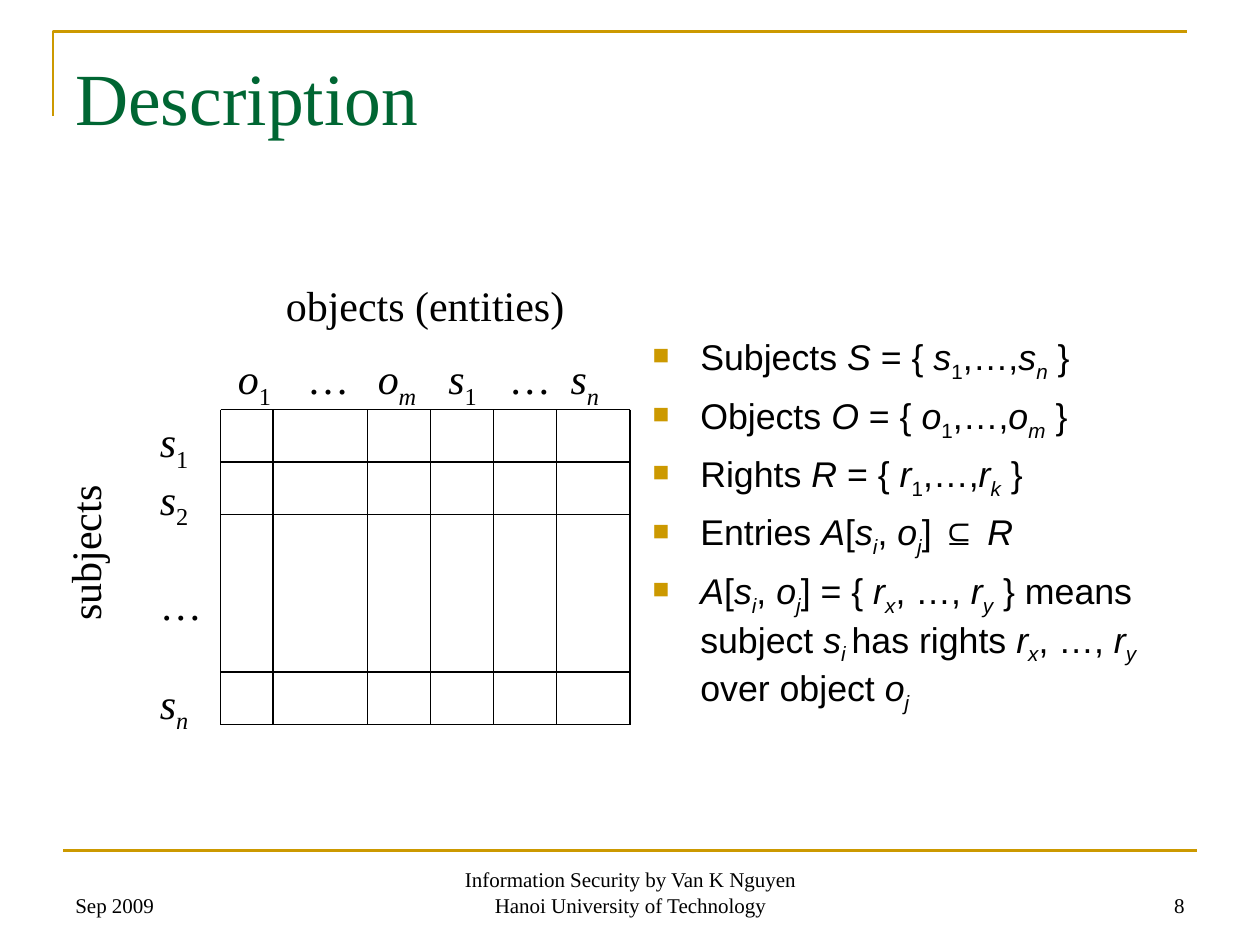
import pptx
import pptx.util
import pptx.dml.color
import pptx.enum.shapes
import pptx.enum.text
import pptx.oxml.ns
import lxml.etree

INCH = pptx.util.Inches
ALIGN = pptx.enum.text.PP_ALIGN
ANCHOR = pptx.enum.text.MSO_ANCHOR
SERIF, SANS = "Times New Roman", "Arial"
GOLD, GREEN, BLACK = "CC9900", "006633", "000000"

# In the strings below, / switches italics and _ switches subscript.
BULLETS = [
    "Subjects /S/ = { /s/_1_,…,/s_n_/ }",
    "Objects /O/ = { /o/_1_,…,/o_m_/ }",
    "Rights /R/ = { /r/_1_,…,/r_k_/ }",
    "Entries /A/[/s_i_/, /o_j_/] ⊆ /R/",
    "/A/[/s_i_/, /o_j_/] = { /r_x_/, …, /r_y_/ } means subject /s_i _/"
    "has rights /r_x_/, …, /r_y_/ over object /o_j_/",
]
HEADS = ["/o/_1_", "…", "/o_m_/", "/s/_1_", "…", "/s_n_/"]
STOPS = [0.55, 1.11, 1.67, 2.15, 2.64]
SIDES = [("/s/_1_", 0), ("/s/_2_", 0), ("…", 27.6), ("/s_n_/", 27.6)]
FOOTS = [
    ("Sep 2009", 0.5, 2.33, ALIGN.LEFT),
    ("Information Security by Van K Nguyen Hanoi University of Technology",
     3.42, 3.17, ALIGN.CENTER),
    ("8", 7.17, 2.33, ALIGN.RIGHT),
]
LEFT, TOP, UNIT = 1.75, 3.25, 1 / 12
COLS = [0, 5, 14, 20, 26, 32, 39]
ROWS = [0, 5, 10, 25, 30]


def color(code):
    return pptx.dml.color.RGBColor.from_string(code)


def add(node, tag, **atts):
    return lxml.etree.SubElement(node, pptx.oxml.ns.qn(tag), **atts)


def fill(para, text):
    slant = sub = False
    word = ""
    for char in text + "\0":
        if char not in "/_\0":
            word += char
            continue
        if word:
            run = para.add_run()
            run.text = word
            if slant:
                run.font.italic = True
            if sub:
                run._r.get_or_add_rPr().set("baseline", "-25000")
            word = ""
        slant ^= char == "/"
        sub ^= char == "_"


def style(para, size, font, code):
    para.font.size = pptx.util.Pt(size)
    para.font.name = font
    para.font.color.rgb = color(code)


def box(slide, place, items, size, font=SERIF, code=BLACK,
        align=ALIGN.LEFT, anchor=ANCHOR.TOP, mark=False, stops=()):
    shape = slide.shapes.add_textbox(*map(INCH, place))
    frame = shape.text_frame
    frame.word_wrap = True
    frame.vertical_anchor = anchor
    for num, (text, gap) in enumerate(items):
        para = frame.add_paragraph() if num else frame.paragraphs[0]
        para.alignment = align
        if num and gap:
            para.space_before = pptx.util.Pt(gap)
        props = para._p.get_or_add_pPr()
        if mark:
            props.set("marL", str(INCH(0.38)))
            props.set("indent", str(-INCH(0.38)))
            add(add(props, "a:buClr"), "a:srgbClr", val=GOLD)
            add(props, "a:buSzPct", val="65000")
            add(props, "a:buChar", char="■")
        if stops:
            tabs = add(props, "a:tabLst")
            for stop in stops:
                add(tabs, "a:tab", pos=str(INCH(stop)), algn="l")
        fill(para, text)
        style(para, size, font, code)
    return shape


def rule(slide, ends, code, width):
    line = slide.shapes.add_connector(
        pptx.enum.shapes.MSO_CONNECTOR.STRAIGHT, *map(INCH, ends))
    line.line.color.rgb = color(code)
    line.line.width = pptx.util.Pt(width)
    add(line._element.spPr, "a:effectLst")


def corner(slide):
    path = slide.shapes.build_freeform(INCH(0.42), INCH(0.92))
    path.add_line_segments(
        [(INCH(0.42), INCH(0.25)), (INCH(9.42), INCH(0.25))], close=False)
    shape = path.convert_to_shape()
    shape.fill.background()
    shape.line.color.rgb = color(GOLD)
    shape.line.width = pptx.util.Pt(1.5)
    shape.shadow.inherit = False


def matrix(slide):
    box(slide, (2.17, 2.17, 2.5, 0.5), [("objects (entities)", 0)], 24)
    side = box(slide, (0.02, 4.14, 1.3, 0.5), [("subjects", 0)], 24,
               align=ALIGN.CENTER)
    side.rotation = 270
    box(slide, (1.17, TOP, 0.6, 2.67), SIDES, 24)
    box(slide, (1.79, 2.75, 3.2, 0.56), [("\t".join(HEADS), 0)], 24,
        stops=STOPS)
    right, base = LEFT + COLS[-1] * UNIT, TOP + ROWS[-1] * UNIT
    for col in COLS:
        x = LEFT + col * UNIT
        rule(slide, (x, TOP, x, base), BLACK, 0.75)
    for row in ROWS:
        y = TOP + row * UNIT
        rule(slide, (LEFT, y, right, y), BLACK, 0.75)


def main():
    deck = pptx.Presentation()
    deck.slide_width, deck.slide_height = INCH(10), INCH(7.5)
    slide = deck.slides.add_slide(deck.slide_layouts[6])
    corner(slide)
    rule(slide, (0.5, 6.75, 9.5, 6.75), GOLD, 1.5)
    for text, x, width, align in FOOTS:
        box(slide, (x, 6.83, width, 0.5), [(text, 0)], 12,
            align=align, anchor=ANCHOR.BOTTOM)
    box(slide, (0.5, 0.36, 9, 1.19), [("Description", 0)], 42, code=GREEN)
    matrix(slide)
    box(slide, (5.08, 2.61, 4.17, 3.72), [(text, 5.5) for text in BULLETS],
        20.4, font=SANS, mark=True)
    deck.save("out.pptx")


if __name__ == "__main__":
    main()
